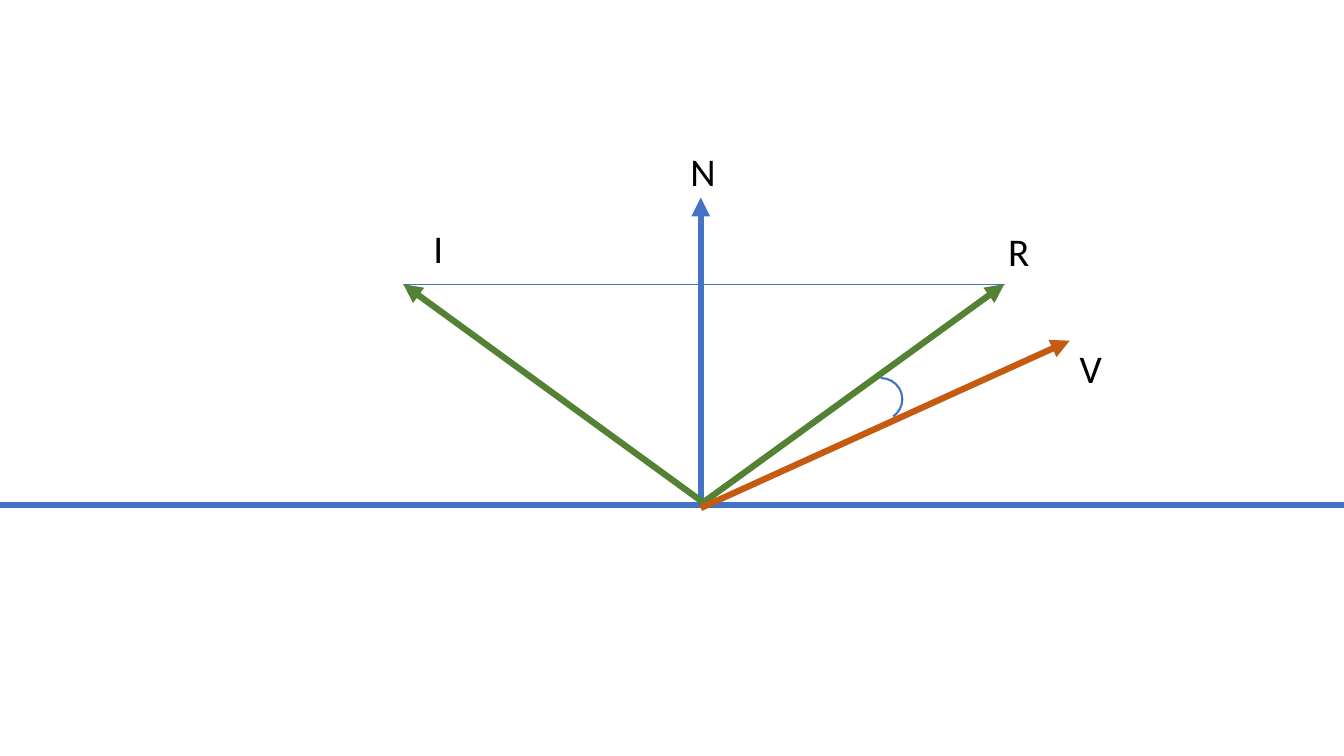
from dataclasses import dataclass

from lxml.etree import SubElement
from pptx import Presentation
from pptx.dml.color import RGBColor
from pptx.enum.shapes import MSO_CONNECTOR, MSO_SHAPE
from pptx.enum.text import MSO_AUTO_SIZE
from pptx.oxml.ns import qn
from pptx.slide import Slide
from pptx.util import Inches, Pt

COLORS = {"blue": "4472C4", "green": "548235", "orange": "C55A11", "black": "000000"}
SLIDE_WIDTH, SLIDE_HEIGHT = 13.33, 7.5
SURFACE_Y = 5.01
TIP_Y = 2.82  # shared height of the I and R arrow tips


@dataclass
class Ray:
    start: tuple[float, float]
    end: tuple[float, float]
    color: str
    width: float = 4.5
    arrow: bool = True


@dataclass
class Label:
    text: str
    left: float
    top: float


RAYS = [
    Ray((0, SURFACE_Y), (SLIDE_WIDTH, SURFACE_Y), "blue", arrow=False),  # surface
    Ray((6.95, SURFACE_Y), (6.95, 1.96), "blue"),  # normal N
    Ray((7.01, SURFACE_Y), (4, TIP_Y), "green"),  # incident I
    Ray((4, TIP_Y), (9.97, TIP_Y), "blue", width=0.5, arrow=False),  # tip to tip
    Ray((6.94, SURFACE_Y), (9.96, TIP_Y), "green"),  # reflected R
    Ray((6.95, 5.04), (10.61, 3.38), "orange"),  # view V
]
LABELS = [
    Label("N", 6.75, 1.41),
    Label("I", 4.2, 2.18),
    Label("R", 9.9, 2.21),
    Label("V", 10.61, 3.37),
]


def rgb(name: str) -> RGBColor:
    return RGBColor.from_string(COLORS[name])


def add_ray(slide: Slide, ray: Ray) -> None:
    points = [Inches(value) for value in (*ray.start, *ray.end)]
    connector = slide.shapes.add_connector(MSO_CONNECTOR.STRAIGHT, *points)
    connector.line.color.rgb = rgb(ray.color)
    connector.line.width = Pt(ray.width)
    if ray.arrow:
        SubElement(connector.line._get_or_add_ln(), qn("a:tailEnd"), type="triangle")
    SubElement(connector._element.spPr, qn("a:effectLst"))


def add_label(slide: Slide, label: Label) -> None:
    box = slide.shapes.add_textbox(
        Inches(label.left), Inches(label.top), Inches(0.99), Inches(0.57)
    )
    frame = box.text_frame
    frame.word_wrap = True
    frame.auto_size = MSO_AUTO_SIZE.SHAPE_TO_FIT_TEXT
    paragraph = frame.paragraphs[0]
    paragraph.text = label.text
    paragraph.font.name = "Calibri"
    paragraph.font.size = Pt(28)
    paragraph.font.color.rgb = rgb("black")


def add_angle_arc(slide: Slide) -> None:
    arc = slide.shapes.add_shape(
        MSO_SHAPE.ARC, Inches(8.52), Inches(3.75), Inches(0.43), Inches(0.42)
    )
    # Angles in units of 100000/60000 degree: from 270 to about 54 degrees
    arc.adjustments[0] = 162
    arc.adjustments[1] = 32.56
    arc.shadow.inherit = False
    arc.fill.background()
    arc.line.color.rgb = rgb("blue")
    arc.line.width = Pt(1.5)


def main() -> None:
    presentation = Presentation()
    presentation.slide_width = Inches(SLIDE_WIDTH)
    presentation.slide_height = Inches(SLIDE_HEIGHT)
    slide = presentation.slides.add_slide(presentation.slide_layouts[6])

    # Surface and vectors
    for ray in RAYS:
        add_ray(slide, ray)

    # Vector names
    for label in LABELS:
        add_label(slide, label)

    # Angle between R and V
    add_angle_arc(slide)

    presentation.save("out.pptx")


if __name__ == "__main__":
    main()
